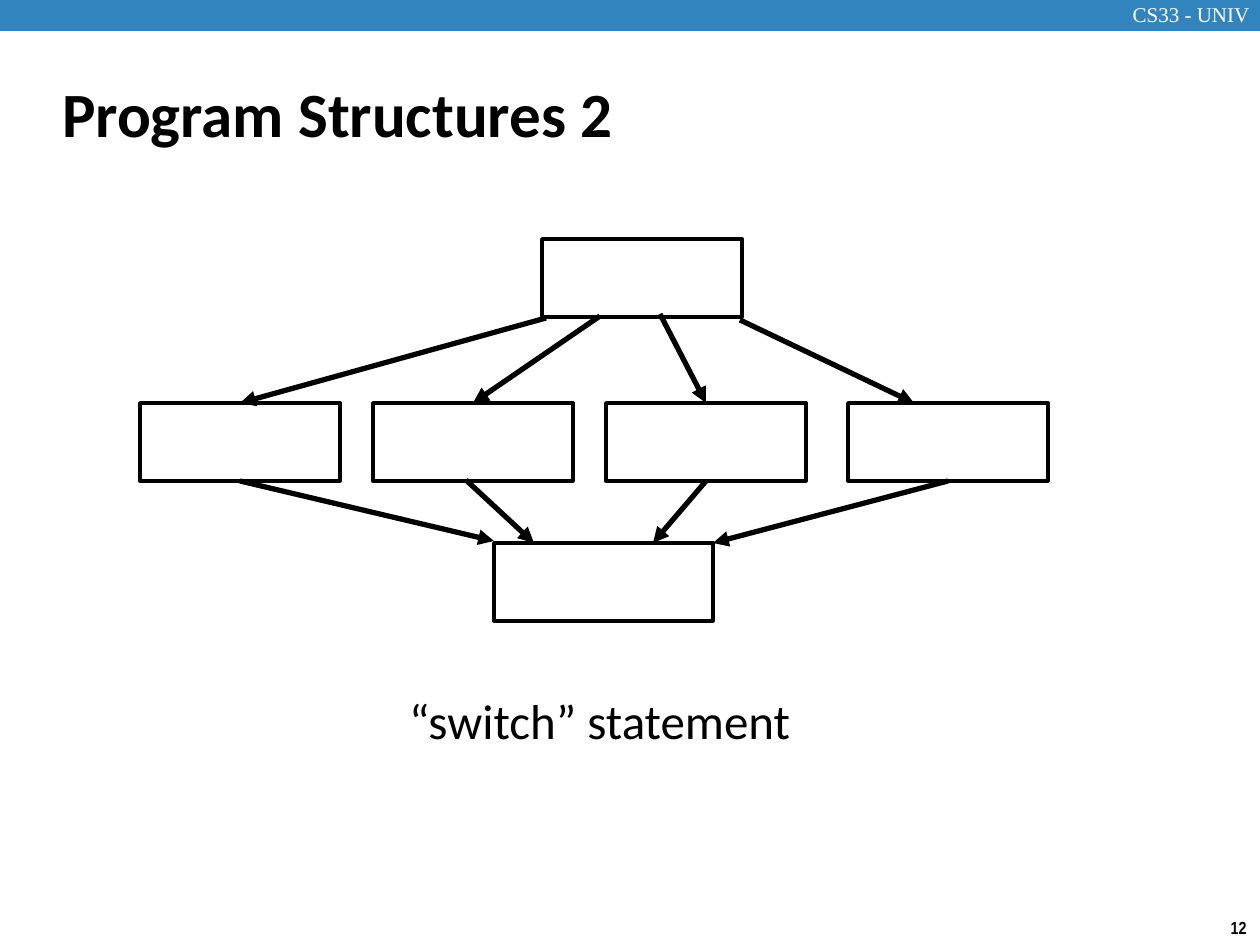
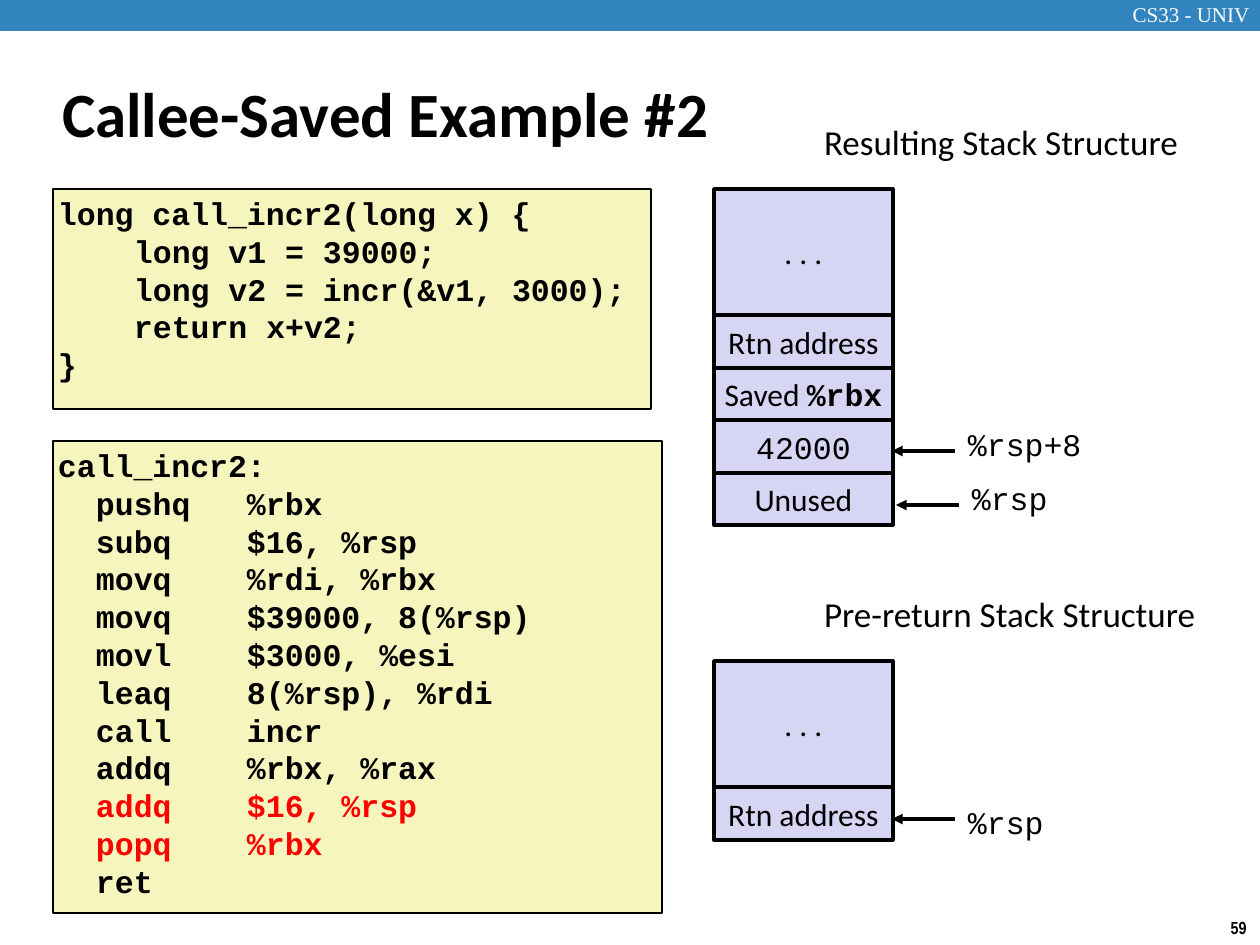
"""Builds two course slides: a switch statement flow and a callee-saved stack example."""
from lxml.etree import SubElement
from pptx import Presentation
from pptx.dml.color import RGBColor
from pptx.enum.shapes import MSO_CONNECTOR as CONNECTOR, MSO_SHAPE as SHAPE
from pptx.enum.text import MSO_ANCHOR as ANCHOR, MSO_AUTO_SIZE as FIT, PP_ALIGN as ALIGN
from pptx.oxml.ns import qn
from pptx.util import Emu, Inches, Pt

PX = Inches(1) / 126
COLORS = {"black": "000000", "white": "FFFFFF", "band": "3284BF",
          "code": "F6F5BD", "stack": "D6D6F4", "red": "FF0000"}
FONTS = {
    "title": ({"name": "Calibri", "size": Pt(36), "bold": True}, "black"),
    "header": ({"name": "Times New Roman", "size": Pt(12), "bold": False}, "white"),
    "number": ({"name": "Arial Narrow", "size": Pt(10), "bold": True}, "black"),
    "caption": ({"name": "Calibri", "size": Pt(28), "bold": False}, "black"),
    "heading": ({"name": "Calibri", "size": Pt(20), "bold": False}, "black"),
    "cell": ({"name": "Calibri", "size": Pt(18), "bold": False}, "black"),
    "mono": ({"name": "Courier New", "size": Pt(18), "bold": False}, "black"),
    "code": ({"name": "Courier New", "size": Pt(18), "bold": True}, "black"),
    "changed": ({"name": "Courier New", "size": Pt(18), "bold": True}, "red"),
}
WIDE, TIGHT = (13, 6), (5, 5)
FITTED = {"wrap": False, "fit": FIT.SHAPE_TO_FIT_TEXT}
LOOKS = {
    "title": {"anchor": ANCHOR.MIDDLE},
    "band": {"fill": "band"},
    "header": {"align": ALIGN.CENTER, "fit": FIT.SHAPE_TO_FIT_TEXT},
    "centered": {"align": ALIGN.CENTER, **FITTED},
    "label": {"inset": TIGHT, **FITTED},
    "step": {"fill": "white", "line": 2},
    "code": {"fill": "code", "line": 1, "inset": TIGHT},
    "stack": {"fill": "stack", "line": 2, "inset": TIGHT,
              "align": ALIGN.CENTER, "anchor": ANCHOR.MIDDLE},
}


def add_box(page, look_name, at, paras=(), tabs=()):
    """Place a title, shape or text box and write its paragraphs of (text, font) spans."""
    look = LOOKS[look_name]
    place = [Emu(round(length * PX)) for length in at]
    if look_name == "title":
        box = page.shapes.title
        box.left, box.top, box.width, box.height = place
    elif "fill" in look:
        box = page.shapes.add_shape(SHAPE.RECTANGLE, *place)
        box.shadow.inherit = False
        box.fill.solid()
        box.fill.fore_color.rgb = RGBColor.from_string(COLORS[look["fill"]])
        if "line" in look:
            box.line.color.rgb = RGBColor.from_string(COLORS["black"])
            box.line.width = Pt(look["line"])
        else:
            box.line.fill.background()
    else:
        box = page.shapes.add_textbox(*place)
    side, edge = (Emu(round(inset * PX)) for inset in look.get("inset", WIDE))
    frame_format = {
        "word_wrap": look.get("wrap", True), "auto_size": look.get("fit", FIT.NONE),
        "vertical_anchor": look.get("anchor", ANCHOR.TOP),
        "margin_left": side, "margin_right": side, "margin_top": edge, "margin_bottom": edge,
    }
    frame = box.text_frame
    for name, value in frame_format.items():
        setattr(frame, name, value)
    for index, spans in enumerate(paras):
        para = frame.add_paragraph() if index else frame.paragraphs[0]
        para.alignment = look.get("align", ALIGN.LEFT)
        if tabs:
            stops = SubElement(para._p.get_or_add_pPr(), qn("a:tabLst"))
            for stop in tabs:
                SubElement(stops, qn("a:tab"), pos=str(round(stop * PX)), algn="l")
        for text, font_name in spans:
            span = para.add_run()
            span.text = text
            font, color = FONTS[font_name]
            for name, value in font.items():
                setattr(span.font, name, value)
            span.font.color.rgb = RGBColor.from_string(COLORS[color])
    return box


def add_arrow(page, start, end, weight):
    """Draw an arrow; each end is a point or a (box, side) pair to join."""
    points = [end_point if isinstance(end_point[0], int) else (0, 0) for end_point in (start, end)]
    lengths = [Emu(round(length * PX)) for point in points for length in point]
    arrow = page.shapes.add_connector(CONNECTOR.STRAIGHT, *lengths)
    for end_point, join in ((start, arrow.begin_connect), (end, arrow.end_connect)):
        if not isinstance(end_point[0], int):
            join(*end_point)
    arrow.line.color.rgb = RGBColor.from_string(COLORS["black"])
    arrow.line.width = Pt(weight)
    SubElement(arrow.line._get_or_add_ln(), qn("a:tailEnd"), type="triangle")
    SubElement(arrow._element.spPr, qn("a:effectLst"))


deck = Presentation()
deck.slide_width, deck.slide_height = Inches(10), Inches(7.5)
pages = []
for title, number in (("Program Structures 2", "12"), ("Callee-Saved Example #2", "59")):
    page = deck.slides.add_slide(deck.slide_layouts.get_by_name("Title Only"))
    add_box(page, "band", (0, 0, 1260, 31))
    add_box(page, "header", (1113, -4, 156, 38), [[("CS33 - UNIV", "header")]])
    add_box(page, "centered", (1217, 911, 43, 34), [[(number, "number")]])
    add_box(page, "title", (49, 60, 1046, 105), [[(title, "title")]])
    pages.append(page)
switch_page, stack_page = pages

BOTTOM, TOP = 2, 0
add_box(switch_page, "step", (542, 239, 200, 78))
add_box(switch_page, "step", (494, 543, 219, 78))
cases = [add_box(switch_page, "step", (left, 403, 200, 78)) for left in (140, 373, 606, 848)]
flows = [
    ((546, 318), (cases[0], TOP)),
    ((600, 316), (cases[1], TOP)),
    ((660, 314), (cases[2], TOP)),
    ((740, 320), (914, 403)),
    ((cases[0], BOTTOM), (494, 541)),
    ((466, 480), (534, 543)),
    ((cases[2], BOTTOM), (653, 543)),
    ((cases[3], BOTTOM), (713, 543)),
]
for start, end in flows:
    add_arrow(switch_page, start, end, 3)
add_box(switch_page, "centered", (394, 684, 411, 72), [[("“switch” statement", "caption")]])

c_lines = ["long call_incr2(long x) {", "\tlong v1 = 39000;",
           "\tlong v2 = incr(&v1, 3000);", "\treturn x+v2;", "}"]
add_box(stack_page, "code", (53, 189, 598, 220), [[(line, "code")] for line in c_lines], (76,))

assembly = [("pushq", "%rbx"), ("subq", "$16, %rsp"), ("movq", "%rdi, %rbx"),
            ("movq", "$39000, 8(%rsp)"), ("movl", "$3000, %esi"), ("leaq", "8(%rsp), %rdi"),
            ("call", "incr"), ("addq", "%rbx, %rax")]
cleanup = [("addq", "$16, %rsp"), ("popq", "%rbx")]
listing = [[("call_incr2:", "code")]]
for steps, font_name in ((assembly, "code"), (cleanup, "changed")):
    listing += [[(f"\t{name}\t{operands}", font_name)] for name, operands in steps]
listing.append([("\tret", "code")])
add_box(stack_page, "code", (53, 441, 609, 472), listing, (38, 189))

caller_rows = [(126, [(". . .", "cell")]), (53, [("Rtn address", "cell")])]
callee_rows = [(52, [("Saved ", "cell"), ("%rbx", "code")]),
               (53, [("42000", "mono")]), (52, [("Unused", "cell")])]
stacks = [("Resulting Stack Structure", 116, 369, 189, caller_rows + callee_rows),
          ("Pre-return Stack Structure", 588, 387, 661, caller_rows)]
for heading, heading_top, heading_width, top, rows in stacks:
    add_box(stack_page, "label", (819, heading_top, heading_width, 53), [[(heading, "heading")]])
    for height, spans in rows:
        add_box(stack_page, "stack", (714, top, 179, height), [spans])
        top += height

pointers = [("%rsp+8", 892, 451, 420, 125), ("%rsp", 896, 505, 474, 91),
            ("%rsp", 892, 819, 798, 91)]
for register, tip, level, label_top, label_width in pointers:
    add_arrow(stack_page, (tip + 63, level), (tip, level), 2)
    add_box(stack_page, "label", (tip + 71, label_top, label_width, 49), [[(register, "mono")]])

deck.save("out.pptx")
